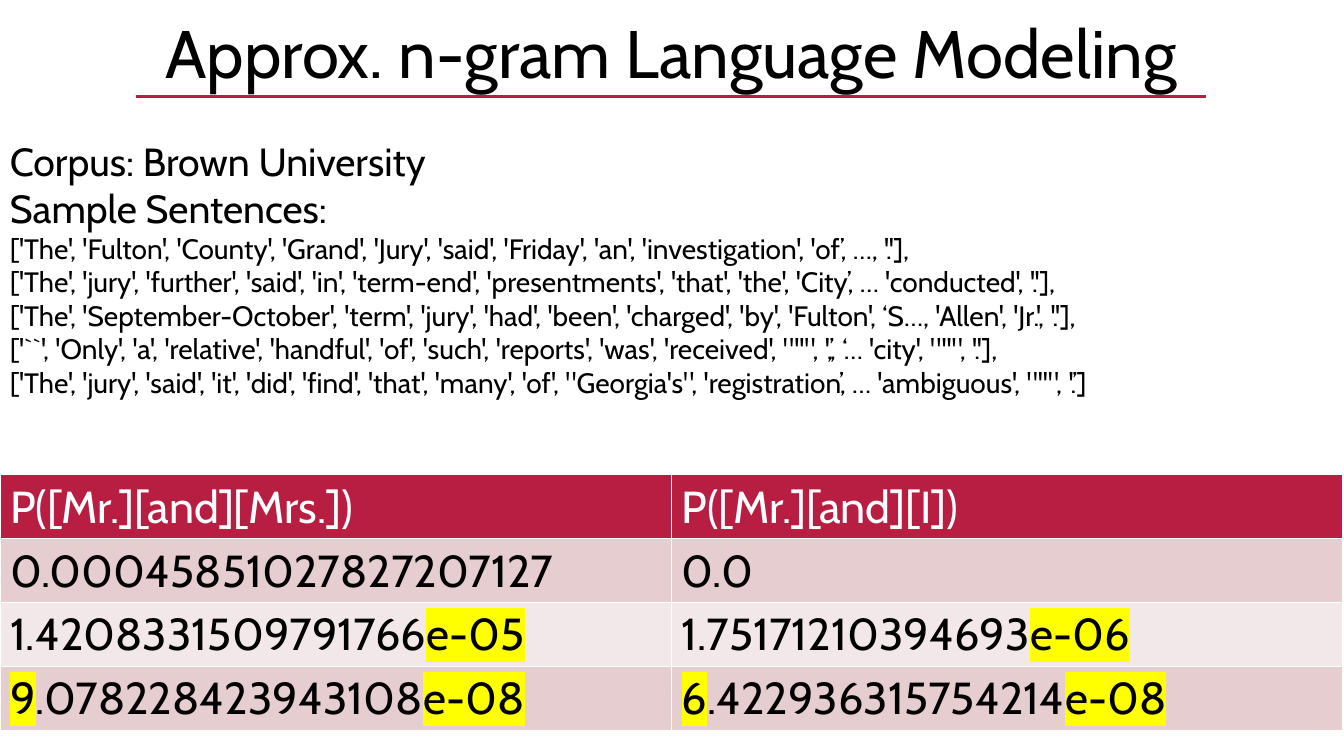
from pptx import Presentation
from pptx.util import Inches, Pt
from pptx.dml.color import RGBColor
from pptx.enum.shapes import MSO_CONNECTOR
from pptx.enum.text import MSO_ANCHOR, MSO_AUTO_SIZE, PP_ALIGN
from lxml.etree import SubElement
from pptx.oxml.ns import qn

HUES = {"ink": "000000", "red": "B71E42", "white": "FFFFFF",
        "dark": "E6CDCF", "light": "F3E8E9", "mark": "FFFF00"}
WIDE, HIGH = 13.33, 7.5


def hue(name):
    return RGBColor.from_string(HUES[name])


def style(font, size, name):
    font.name, font.size, font.bold = "Cabin", Pt(size), False
    font.color.rgb = hue(name)


deck = Presentation()
deck.slide_width, deck.slide_height = Inches(WIDE), Inches(HIGH)
slide = deck.slides.add_slide(deck.slide_layouts[5])

# Title
title = slide.shapes.title
title.left, title.top = Inches(-0.01), Inches(0.06)
title.width, title.height = Inches(WIDE), Inches(0.91)
head = title.text_frame
head.text = "Approx. n-gram Language Modeling"
head.vertical_anchor = MSO_ANCHOR.TOP
head.auto_size = MSO_AUTO_SIZE.SHAPE_TO_FIT_TEXT
head.paragraphs[0].alignment = PP_ALIGN.CENTER
style(head.paragraphs[0].font, 48, "ink")

# Rule under the title
rule = slide.shapes.add_connector(
    MSO_CONNECTOR.STRAIGHT, Inches(1.35), Inches(0.96), Inches(11.96), Inches(0.96))
rule.line.color.rgb = hue("red")
rule.line.width = Pt(2.5)
SubElement(rule.element.spPr, qn("a:effectLst"))

# Corpus and sample sentences
lines = [
    (28, "Corpus: Brown University"),
    (28, "Sample Sentences:"),
    (20, "['The', 'Fulton', 'County', 'Grand', 'Jury', 'said', 'Friday', 'an', "
         "'investigation', 'of’, …, '.'],"),
    (20, "['The', 'jury', 'further', 'said', 'in', 'term-end', 'presentments', "
         "'that', 'the', 'City’, … 'conducted', '.'],"),
    (20, "['The', 'September-October', 'term', 'jury', 'had', 'been', 'charged', "
         "'by', 'Fulton', ‘S…, 'Allen', 'Jr.', '.'],"),
    (20, "['``', 'Only', 'a', 'relative', 'handful', 'of', 'such', 'reports', 'was', "
         "'received', \"''\", ',’, ‘… 'city', \"''\", '.'],"),
    (20, "['The', 'jury', 'said', 'it', 'did', 'find', 'that', 'many', 'of', "
         "\"Georgia's\", 'registration’, … 'ambiguous', \"''\", '.’]"),
]
body = slide.shapes.add_textbox(0, Inches(1.31), Inches(WIDE), Inches(3.4)).text_frame
body.word_wrap = True
for i, (size, text) in enumerate(lines):
    para = body.add_paragraph() if i else body.paragraphs[0]
    para.text = text
    style(para.font, size, "ink")

# Probability table: each cell is a list of runs, "*" leads a marked one
rows = [
    [["P([Mr.][and][Mrs.])"], ["P([Mr.][and][I])"]],
    [["0.00045851027827207127"], ["0.0"]],
    [["1.4208331509791766", "*e-05"], ["1.75171210394693", "*e-06"]],
    [["*9", ".078228423943108", "*e-08"], ["*6", ".422936315754214", "*e-08"]],
]
fills = ["red", "dark", "light", "dark"]
table = slide.shapes.add_table(
    len(rows), 2, 0, Inches(4.71), Inches(13.32), Inches(2.53)).table
for r, (row, fill) in enumerate(zip(rows, fills)):
    for c, parts in enumerate(row):
        cell = table.cell(r, c)
        cell.fill.solid()
        cell.fill.fore_color.rgb = hue(fill)
        para = cell.text_frame.paragraphs[0]
        for part in parts:
            run = para.add_run()
            run.text = part.lstrip("*")
            style(run.font, 32, "ink" if r else "white")
            if part.startswith("*"):
                props = run._r.get_or_add_rPr()
                mark = SubElement(props, qn("a:highlight"))
                SubElement(mark, qn("a:srgbClr"), val=HUES["mark"])
                props.find(qn("a:latin")).addprevious(mark)

deck.save("out.pptx")
